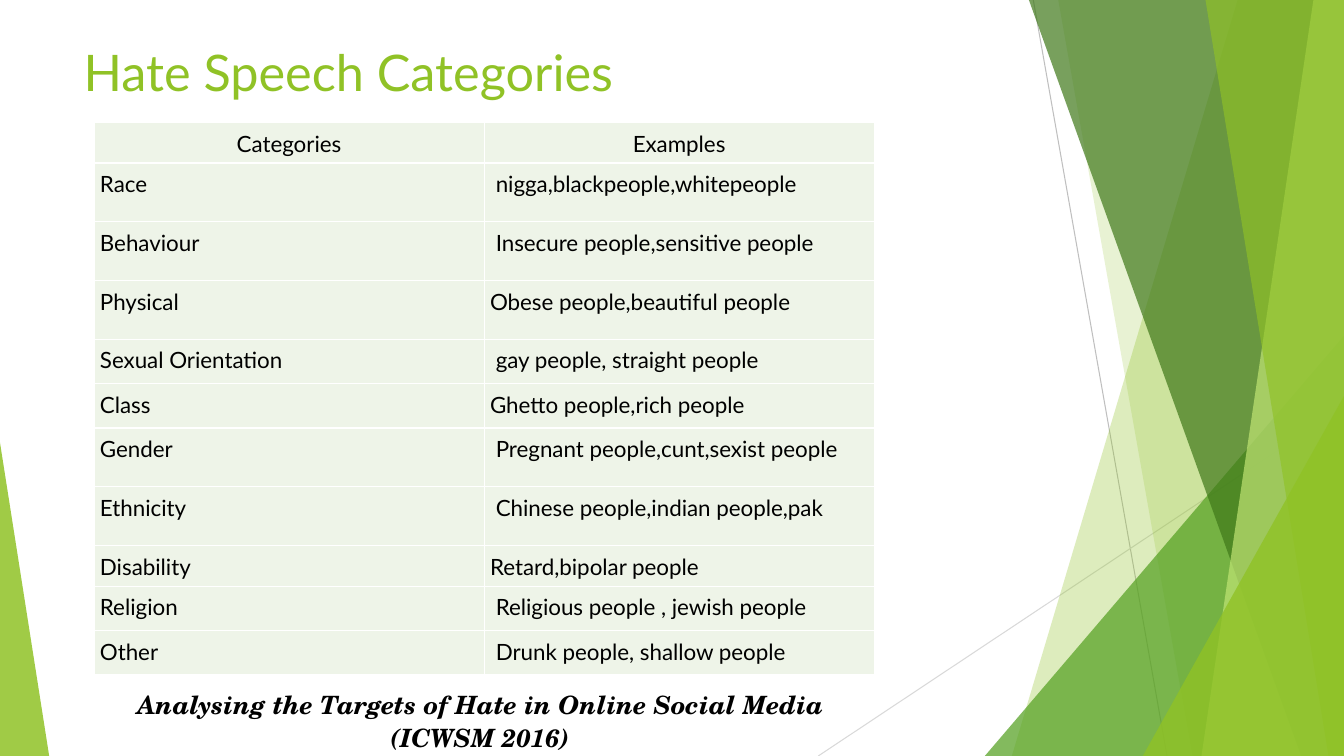
from pptx import Presentation
from pptx import util as u
from pptx.dml import color
from pptx.enum import shapes, text
from pptx.oxml import ns
from lxml import etree

WIDE, HIGH = 33.87, 19.05
LIME, LEAF, MOSS, PALE = "90C226", "54A021", "3F7819", "C0E474"
BLACK, WHITE, MINT = "000000", "FFFFFF", "EEF4E8"
LEFT, MID = text.PP_ALIGN.LEFT, text.PP_ALIGN.CENTER


def tint(code):
    return color.RGBColor.from_string(code)


def add(parent, tag, **attrs):
    return etree.SubElement(parent, ns.qn(tag), **attrs)


class Deck:
    font = "Lato"

    def __init__(self):
        self.show = Presentation()
        self.show.slide_width, self.show.slide_height = u.Cm(WIDE), u.Cm(HIGH)
        self.slide = self.show.slides.add_slide(self.show.slide_layouts[6])
        self.items = self.slide.shapes

    def paint(self, shape, code, alpha):
        shape.shadow.inherit = False
        shape.line.fill.background()
        shape.fill.solid()
        shape.fill.fore_color.rgb = tint(code)
        fill = next(shape._element.spPr.iter(ns.qn("a:srgbClr")))
        add(fill, "a:alpha", val=str(alpha * 1000))

    def line(self, x1, y1, x2, y2, code):
        line = self.items.add_connector(
            shapes.MSO_CONNECTOR.STRAIGHT, u.Cm(x1), u.Cm(y1), u.Cm(x2), u.Cm(y2))
        line.line.width = u.Pt(0.75)
        line.line.color.rgb = tint(code)
        add(line._element.spPr, "a:effectLst")

    def blade(self, top, foot, code, alpha):
        """Full-height band from a slanted left side to the right edge."""
        right, base = u.Cm(WIDE), u.Cm(HIGH)
        path = self.items.build_freeform(u.Cm(top), 0)
        path.add_line_segments([(right, 0), (right, base), (u.Cm(foot), base)])
        self.paint(path.convert_to_shape(), code, alpha)

    def wedge(self, x, y, width, peak, code, alpha):
        """Triangle that stands on the bottom edge."""
        shape = self.items.add_shape(
            shapes.MSO_SHAPE.ISOSCELES_TRIANGLE,
            u.Cm(x), u.Cm(y), u.Cm(width), u.Cm(HIGH - y))
        shape.adjustments[0] = peak
        self.paint(shape, code, alpha)

    def style(self, para, words, size, code=BLACK, font=None, align=LEFT):
        para.text = words
        para.alignment = align
        para.font.size = u.Pt(size)
        para.font.name = font or self.font
        para.font.color.rgb = tint(code)

    def label(self, x, y, width, height, words, size, **look):
        frame = self.items.add_textbox(
            u.Cm(x), u.Cm(y), u.Cm(width), u.Cm(height)).text_frame
        frame.word_wrap = True
        para = frame.paragraphs[0]
        self.style(para, words, size, **look)
        return para

    def edge(self, cell):
        props = cell._tc.get_or_add_tcPr()
        for side in "LRTB":
            line = add(props, "a:ln" + side, w=str(u.Pt(1)))
            add(add(line, "a:solidFill"), "a:srgbClr", val=WHITE)

    def table(self, x, y, width, rows):
        count = len(rows[0][1:])
        tall = sum(row[0] for row in rows)
        grid = self.items.add_table(
            len(rows), count, u.Cm(x), u.Cm(y), u.Cm(width), u.Cm(tall)).table
        grid.first_row = grid.horz_banding = False
        for col in grid.columns:
            col.width = u.Cm(width / count)
        for r, (height, *words) in enumerate(rows):
            grid.rows[r].height = u.Cm(height)
            for c, word in enumerate(words):
                cell = grid.cell(r, c)
                self.edge(cell)
                cell.fill.solid()
                cell.fill.fore_color.rgb = tint(MINT)
                cell.margin_left = cell.margin_right = u.Cm(0.15)
                cell.margin_top = cell.margin_bottom = u.Cm(0.15)
                para = cell.text_frame.paragraphs[0]
                self.style(para, word, 16, align=LEFT if r else MID)
                para.line_spacing = 1.07
                para.space_after = u.Pt(8)


LOW, MEAN, TALL = 0.74, 1.12, 1.48
ROWS = [
    (LOW, "Categories", "Examples"),
    (TALL, "Race", " nigga,blackpeople,whitepeople"),
    (TALL, "Behaviour", " Insecure people,sensitive people"),
    (TALL, "Physical", "Obese people,beautiful people"),
    (MEAN, "Sexual Orientation", " gay people, straight people"),
    (MEAN, "Class", "Ghetto people,rich people"),
    (TALL, "Gender", " Pregnant people,cunt,sexist people"),
    (TALL, "Ethnicity", " Chinese people,indian people,pak"),
    (LOW, "Disability", "Retard,bipolar people"),
    (MEAN, "Religion", " Religious people , jewish people"),
    (MEAN, "Other", " Drunk people, shallow people"),
]


def main():
    deck = Deck()

    # Thin lines and green facets
    deck.line(26.04, 0, 29.41, HIGH, "BFBFBF")
    deck.line(WIDE, 10.24, 20.62, HIGH, "D9D9D9")
    deck.blade(31.19, 25.5, LIME, 30)
    deck.blade(26.67, 30.05, LIME, 20)
    deck.wedge(24.82, 8.46, WIDE - 24.82, 1, LEAF, 72)
    deck.blade(25.93, 32.79, MOSS, 70)
    deck.blade(33.1, 30.28, PALE, 70)
    deck.blade(30.38, 33.48, LIME, 65)
    deck.wedge(28.8, 9.98, WIDE - 28.8, 1, LIME, 80)
    deck.wedge(0, 11.15, 1.24, 0, LIME, 85)

    # Title
    deck.label(1.86, 0.9, 23.88, 2.18, "Hate Speech Categories", 36, code=LIME)

    # Categories with examples
    deck.table(2.37, 3.08, 19.66, ROWS)

    # Source line
    cite = deck.label(
        1.86, 17.2, 20.47, 1.85,
        "Analysing the Targets of Hate in Online Social Media (ICWSM 2016)",
        18, font="TeX Gyre Schola", align=MID)
    cite.font.bold = cite.font.italic = True
    cite.line_spacing = 1.07

    deck.show.save("out.pptx")


if __name__ == "__main__":
    main()
